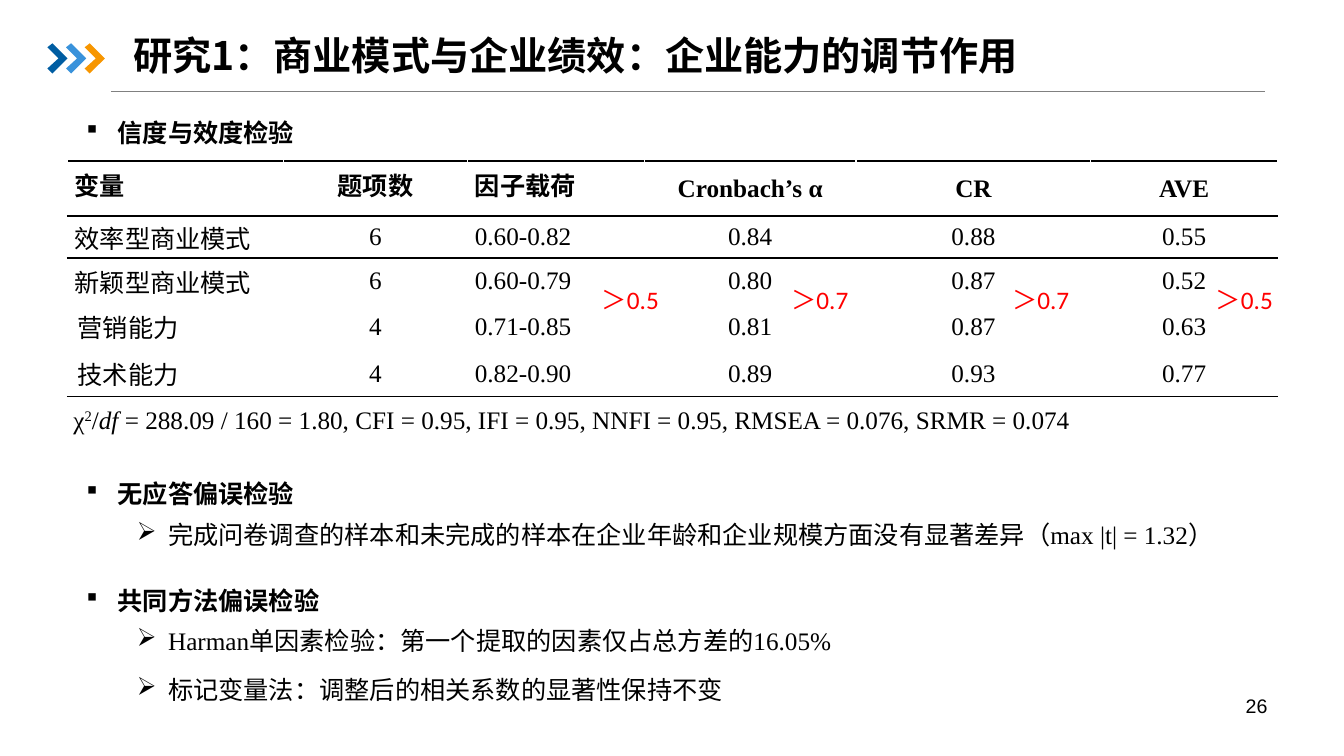
from lxml import etree
from pptx import Presentation
from pptx.dml.color import RGBColor
from pptx.enum.shapes import MSO_CONNECTOR
from pptx.enum.text import MSO_ANCHOR, PP_ALIGN
from pptx.oxml.ns import qn
from pptx.util import Inches, Pt

LEFT, CENTER, RIGHT = PP_ALIGN.LEFT, PP_ALIGN.CENTER, PP_ALIGN.RIGHT
MIDDLE = MSO_ANCHOR.MIDDLE
STRAIGHT = MSO_CONNECTOR.STRAIGHT
CHINESE, SERIF = "Noto Sans CJK SC", "Times New Roman"
COLORS = {"black": "000000", "red": "FF0000", "rule": "808080",
          "navy": "005DA2", "blue": "3992DB", "orange": "F79600"}


def add_run(paragraph, text, font=SERIF, size=18, color="black",
            bold=False, italic=False, baseline=None):
    """Append a formatted run, with a Chinese fallback font."""
    run = paragraph.add_run()
    run.text = text
    run.font.name = font
    run.font.size = Pt(size)
    run.font.bold = bold
    run.font.italic = italic
    run.font.color.rgb = RGBColor.from_string(COLORS[color])
    properties = run.font._element
    east_asian = etree.Element(qn("a:ea"), typeface=CHINESE)
    properties.find(qn("a:latin")).addnext(east_asian)
    if baseline:
        properties.set("baseline", str(baseline))


def add_text_box(left, top, width, height):
    """Add a wrapping text box and return its text frame."""
    box = slide.shapes.add_textbox(Inches(left), Inches(top), Inches(width), Inches(height))
    box.text_frame.word_wrap = True
    return box.text_frame


presentation = Presentation()
presentation.slide_width = Inches(13.33)
presentation.slide_height = Inches(7.5)
slide = presentation.slides.add_slide(presentation.slide_layouts[5])

# Header: rule, chevrons and title
rule = slide.shapes.add_connector(STRAIGHT, Inches(1.1), Inches(0.91), Inches(12.55), Inches(0.91))
rule.line.color.rgb = RGBColor.from_string(COLORS["rule"])
rule.line.width = Pt(0.5)
etree.SubElement(rule._element.spPr, qn("a:effectLst"))

chevron_outline = [(0, 0.47), (0.05, 0.43), (0.2, 0.58), (0.05, 0.73), (0, 0.68), (0.11, 0.58)]
for index, color in enumerate(["navy", "blue", "orange"]):
    left = 0.47 + index * 0.185
    points = [(Inches(left + x), Inches(y)) for x, y in chevron_outline]
    builder = slide.shapes.build_freeform(*points[0])
    builder.add_line_segments(points[1:], close=True)
    chevron = builder.convert_to_shape()
    chevron.shadow.inherit = False
    chevron.fill.solid()
    chevron.fill.fore_color.rgb = RGBColor.from_string(COLORS[color])
    chevron.line.fill.background()

title = slide.shapes.title
title.left, title.top = Inches(1.22), Inches(0.31)
title.width, title.height = Inches(9.28), Inches(0.53)
title.text_frame.vertical_anchor = MIDDLE
paragraph = title.text_frame.paragraphs[0]
paragraph.alignment = LEFT
paragraph.line_spacing = 0.9
add_run(paragraph, "研究1：商业模式与企业绩效：企业能力的调节作用", font=CHINESE, size=28, bold=True)

# Reliability and validity table
rows = [
    ["变量", "题项数", "因子载荷", "Cronbach’s α", "CR", "AVE"],
    ["效率型商业模式", "6", "0.60-0.82", "0.84", "0.88", "0.55"],
    ["新颖型商业模式", "6", "0.60-0.79", "0.80", "0.87", "0.52"],
    ["营销能力", "4", "0.71-0.85", "0.81", "0.87", "0.63"],
    ["技术能力", "4", "0.82-0.90", "0.89", "0.93", "0.77"],
]
column_widths = [2.14, 1.83, 1.75, 2.1, 2.33, 1.85]
row_heights = [0.54, 0.42, 0.45, 0.44, 0.36]
border_sides = {0: ["lnT", "lnB"], 1: ["lnT"], 4: ["lnB"]}

frame = slide.shapes.add_table(len(rows), len(column_widths), Inches(0.67), Inches(1.6),
                               Inches(12), Inches(sum(row_heights)))
table = frame.table
table.first_row = table.horz_banding = False
for column, width in zip(table.columns, column_widths):
    column.width = Inches(width)
for row, height in zip(table.rows, row_heights):
    row.height = Inches(height)

for row_index, values in enumerate(rows):
    for column_index, value in enumerate(values):
        cell = table.cell(row_index, column_index)
        cell.vertical_anchor = MIDDLE
        if column_index > 0 or row_index < 3:
            cell.margin_left = cell.margin_right = Inches(0.07)
            cell.margin_top, cell.margin_bottom = Inches(0.01), 0
        for side in border_sides.get(row_index, []):
            border = etree.SubElement(cell._tc.get_or_add_tcPr(), qn("a:" + side), w=str(Pt(1.5)))
            fill = etree.SubElement(border, qn("a:solidFill"))
            etree.SubElement(fill, qn("a:srgbClr"), val=COLORS["black"])
        cell.fill.background()
        paragraph = cell.text_frame.paragraphs[0]
        paragraph.alignment = LEFT if column_index in (0, 2) else CENTER
        # Item counts have fixed spacing only in the last two rows
        if row_index == 0 or column_index > 2 or (column_index == 1 and row_index > 2):
            paragraph.line_spacing = Pt(20)
        add_run(paragraph, value, bold=row_index == 0)

# Model fit line
paragraph = add_text_box(0.63, 3.96, 11.86, 0.4).paragraphs[0]
add_run(paragraph, "χ")
add_run(paragraph, "2", baseline=30000)
add_run(paragraph, "/")
add_run(paragraph, "df ", italic=True)
add_run(paragraph, "= 288.09 / 160 = 1.80, CFI = 0.95, IFI = 0.95, NNFI = 0.95, RMSEA = 0.076, SRMR = 0.074")

# Thresholds beside the table columns
for left, threshold in [(5.87, "＞0.5"), (7.75, "＞0.7"), (9.94, "＞0.7"), (11.96, "＞0.5")]:
    paragraph = add_text_box(left, 2.77, 0.83, 0.4).paragraphs[0]
    add_run(paragraph, threshold, font="Calibri", color="red")

# Bulleted tests: level, space after, runs of (text, font)
reliability_test = [(0, 0, [("信度与效度检验", CHINESE)])]
bias_tests = [
    (0, 6, [("无应答偏误检验", CHINESE)]),
    (1, 24, [("完成问卷调查的样本和未完成的样本在企业年龄和企业规模方面没有显著差异（", CHINESE),
             ("max |t| = 1.32", SERIF), ("）", CHINESE)]),
    (0, 6, [("共同方法偏误检验", CHINESE)]),
    (1, 12, [("Harman", SERIF), ("单因素检验：第一个提取的因素仅占总方差的", CHINESE), ("16.05%", SERIF)]),
    (1, 12, [("标记变量法：调整后的相关系数的显著性保持不变", CHINESE)]),
]
for position, line_spacing, items in [((0.76, 1.03, 11.27, 0.44), 28, reliability_test),
                                      ((0.76, 4.68, 11.87, 2.39), 23, bias_tests)]:
    text_frame = add_text_box(*position)
    for index, (level, space_after, runs) in enumerate(items):
        paragraph = text_frame.add_paragraph() if index else text_frame.paragraphs[0]
        paragraph.level = level
        paragraph.line_spacing = Pt(line_spacing)
        paragraph.space_after = Pt(space_after)
        properties = paragraph._p.get_or_add_pPr()
        properties.set("marL", str(Inches(0.31 + 0.5 * level)))
        properties.set("indent", str(Inches(-0.31)))
        etree.SubElement(properties, qn("a:buFont"), typeface="Wingdings")
        etree.SubElement(properties, qn("a:buChar"), char="§Ø"[level])
        for text, font in runs:
            add_run(paragraph, text, font=font, bold=level == 0)

# Page number
paragraph = add_text_box(9.56, 6.83, 3.11, 0.52).paragraphs[0]
paragraph.alignment = RIGHT
add_run(paragraph, "26", font="Arial", size=14)

presentation.save("out.pptx")
